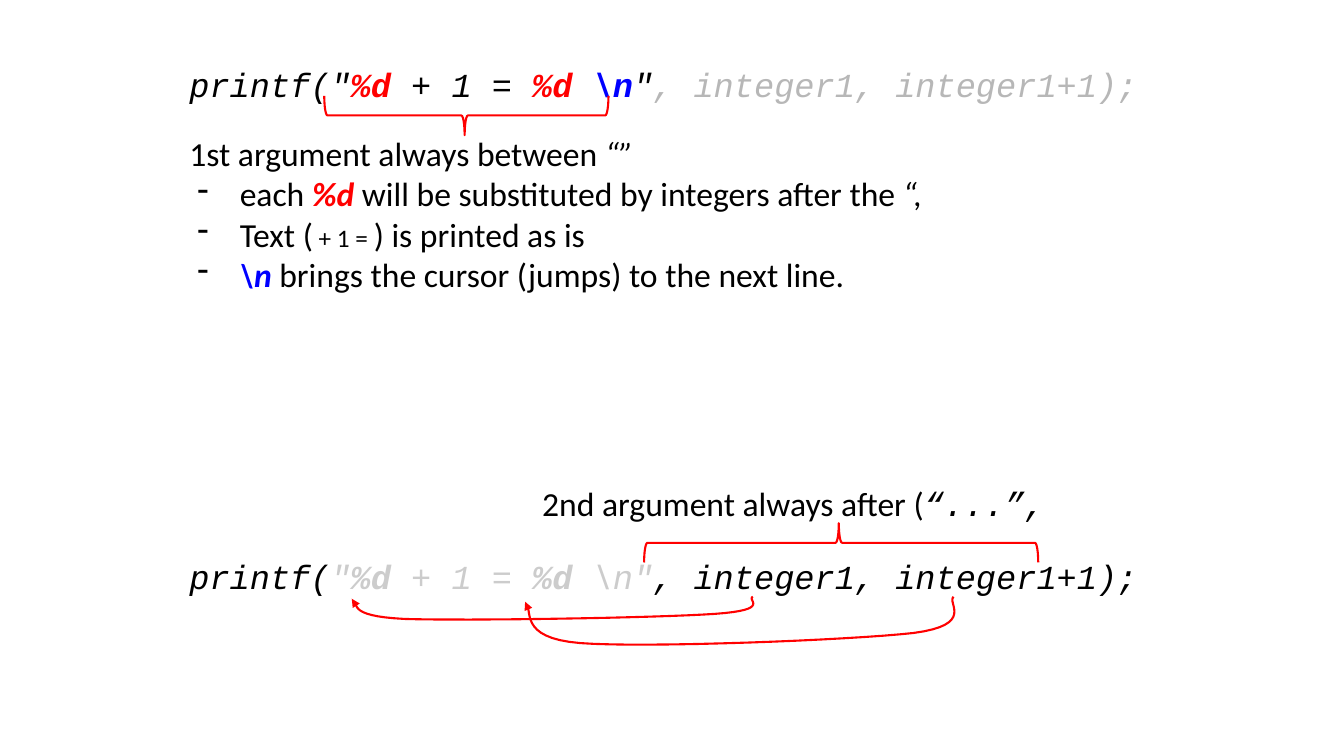
from dataclasses import dataclass

from lxml.etree import SubElement
from pptx import Presentation
from pptx.dml.color import RGBColor as Rgb
from pptx.enum.shapes import MSO_SHAPE as Preset
from pptx.oxml.ns import qn
from pptx.util import Inches, Pt


@dataclass(frozen=True)
class Theme:
    ink: str = "000000"
    accent: str = "FF0000"
    escape: str = "0000FF"
    faded: str = "B7B7B7"
    ghost: str = "CCCCCC"
    body: str = "Calibri"
    code: str = "Courier New"
    size: float = 24
    small: float = 18
    stroke: float = 1.5


THEME = Theme()
CODE = dict(name=THEME.code, italic=True)
PLACEHOLDER = dict(color=THEME.accent, bold=True, italic=True)
NEWLINE = dict(color=THEME.escape, bold=True, italic=True)
GHOST = dict(color=THEME.ghost)
ITALIC = dict(italic=True)


class SlideBuilder:
    COLUMNS, ROWS = 40, 30
    CURVE_STEPS = 16

    def __init__(self, deck, theme):
        self.theme = theme
        self.slide = deck.slides.add_slide(deck.slide_layouts[6])
        self.column = deck.slide_width / self.COLUMNS
        self.row = deck.slide_height / self.ROWS

    def place(self, x, y):
        return round(x * self.column), round(y * self.row)

    def text(self, left, top, width, height, paragraphs, inset=0.1, top_inset=0.1):
        box = self.slide.shapes.add_textbox(*self.place(left, top), *self.place(width, height))
        frame = box.text_frame
        layout = dict(word_wrap=True, margin_left=Inches(inset), margin_right=Inches(inset),
                      margin_top=Inches(top_inset), margin_bottom=Inches(inset))
        for key, value in layout.items():
            setattr(frame, key, value)
        for index, content in enumerate(paragraphs):
            paragraph = frame.paragraphs[0] if index == 0 else frame.add_paragraph()
            self.paragraph(paragraph, **content)

    def paragraph(self, paragraph, runs, base=None, before=0, margin=0, indent=0, bullet=None):
        paragraph.space_before = Pt(before)
        props = paragraph._p.get_or_add_pPr()
        props.set("marL", str(Inches(margin)))
        props.set("indent", str(Inches(indent)))
        if bullet:
            color = SubElement(props, qn("a:buClr"))
            SubElement(color, qn("a:srgbClr"), val=self.theme.ink)
            SubElement(props, qn("a:buChar"), char=bullet)
        default = dict(name=self.theme.body, size=Pt(self.theme.size), color=self.theme.ink,
                       bold=False, italic=False)
        for words, style in runs:
            run = paragraph.add_run()
            run.text = words
            look = {**default, **(base or {}), **style}
            run.font.color.rgb = Rgb.from_string(look.pop("color"))
            for key, value in look.items():
                setattr(run.font, key, value)

    def outline(self, shape):
        shape.shadow.inherit = False
        shape.fill.background()
        shape.line.color.rgb = Rgb.from_string(self.theme.accent)
        shape.line.width = Pt(self.theme.stroke)

    def brace(self, left, top, width, height, rotation, tip):
        x, y = self.place(left, top)
        span, depth = self.place(width, height)
        shift = (span - depth) // 2
        brace = self.slide.shapes.add_shape(Preset.LEFT_BRACE, x + shift, y - shift, depth, span)
        brace.rotation = rotation
        brace.adjustments[0] = 0.083
        brace.adjustments[1] = tip
        self.outline(brace)

    def curved_arrow(self, points):
        trail = [points[0]]
        for first in range(0, len(points) - 1, 3):
            a, b, c, d = points[first:first + 4]
            for step in range(1, self.CURVE_STEPS + 1):
                t = step / self.CURVE_STEPS
                u = 1 - t
                trail.append(tuple(
                    u**3 * p + 3 * u * u * t * q + 3 * u * t * t * r + t**3 * s
                    for p, q, r, s in zip(a, b, c, d)))
        start, *rest = [self.place(*point) for point in trail]
        path_builder = self.slide.shapes.build_freeform(*start)
        path_builder.add_line_segments(rest, close=False)
        arrow = path_builder.convert_to_shape()
        self.outline(arrow)
        SubElement(arrow.line._get_or_add_ln(), qn("a:headEnd"), type="triangle")


def main():
    deck = Presentation()
    deck.slide_width, deck.slide_height = Inches(13.33), Inches(7.5)
    page = SlideBuilder(deck, THEME)

    first_call = dict(base=CODE, runs=[
        ('printf("', {}), ("%d", PLACEHOLDER), (" + 1 = ", {}), ("%d ", PLACEHOLDER),
        ("\\n", NEWLINE), ('"', {}), (", integer1, integer1+1);", dict(color=THEME.faded))])
    first_rule = dict(before=20.7, runs=[("1st argument always between ", {}), ("“”", ITALIC)])
    rule_details = [
        [("each ", {}), ("%d ", PLACEHOLDER),
         ("will be substituted by integers after the ", {}), ("“,", ITALIC)],
        [("Text (", {}), (" + 1 = ", dict(size=Pt(THEME.small))), (") is printed as is", {})],
        [("\\n ", NEWLINE), ("brings the cursor (jumps) to the next line.", {})],
    ]
    bullets = [dict(runs=runs, margin=0.5, indent=-0.42, bullet="-") for runs in rule_details]
    second_rule = dict(before=134.8, margin=3, indent=0.5, runs=[
        ("2nd argument always after (", {}), ("“...”,", CODE)])
    second_call = dict(before=23.6, base=CODE, runs=[
        ("printf(", {}), ('"', GHOST), ("%d", {**GHOST, "bold": True}), (" + 1 = ", GHOST),
        ("%d", {**GHOST, "bold": True}), (' \\n"', GHOST), (", integer1, integer1+1);", {})])
    page.text(5.34, 0.76, 29.04, 3.88,
              [first_call, first_rule, *bullets, second_rule, second_call], top_inset=0.44)

    page.curved_arrow([
        (10.47, 23.76), (10.74, 23.92), (10.23, 24.44), (12.03, 24.56), (13.83, 24.64),
        (19.56, 24.52), (21.27, 24.36), (23.01, 24.2), (22.2, 23.8), (22.41, 23.68)])
    page.curved_arrow([
        (15.63, 23.88), (15.9, 24.16), (15.36, 25.32), (17.28, 25.52), (19.2, 25.72),
        (25.32, 25.4), (27.18, 25.12), (29.04, 24.8), (28.17, 23.92), (28.38, 23.68)])
    page.brace(9.65, 3.8, 8.46, 1.56, rotation=270, tip=0.494)
    page.brace(19.17, 20.76, 11.73, 1.56, rotation=90, tip=0.506)

    deck.save("out.pptx")


if __name__ == "__main__":
    main()
